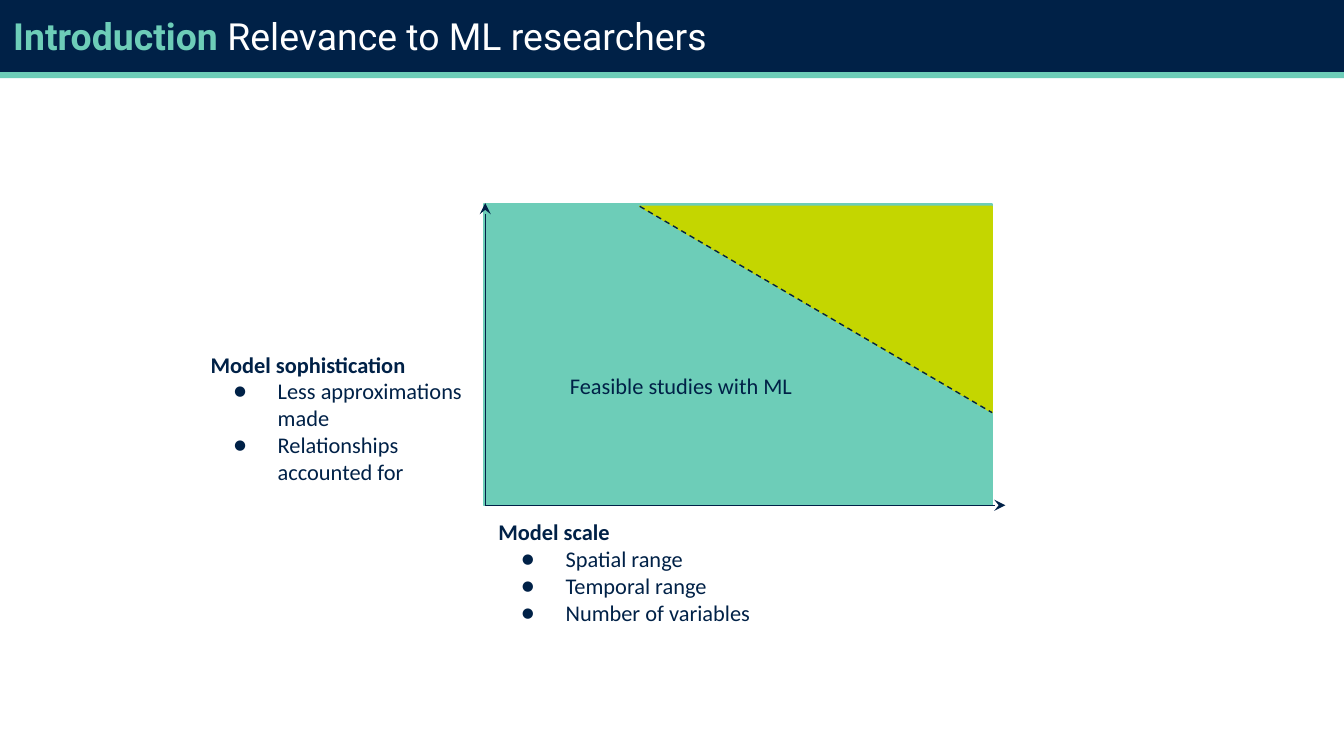
from lxml import etree
from pptx import Presentation
from pptx.dml.color import RGBColor
from pptx.enum.dml import MSO_LINE
from pptx.enum.shapes import MSO_CONNECTOR, MSO_SHAPE
from pptx.enum.text import MSO_ANCHOR, MSO_AUTO_SIZE, PP_ALIGN
from pptx.oxml.ns import qn
from pptx.util import Cm, Pt

HEX = {"navy": "002147", "teal": "6DCDB8", "lime": "C4D600", "white": "FFFFFF"}
COLOURS = {name: RGBColor.from_string(value) for name, value in HEX.items()}


def paint(shape, colour, outlined):
    shape.shadow.inherit = False
    shape.fill.solid()
    shape.fill.fore_color.rgb = COLOURS[colour]
    if outlined:
        shape.line.color.rgb = COLOURS[colour]
        shape.line.width = Pt(0.75)
    else:
        shape.line.fill.background()


def write(frame, lines):
    frame.word_wrap = True
    frame.auto_size = MSO_AUTO_SIZE.SHAPE_TO_FIT_TEXT
    frame.margin_left = frame.margin_right = Cm(0.25)
    frame.margin_top = frame.margin_bottom = Cm(0.25)
    for i, line in enumerate(lines):
        paragraph = frame.add_paragraph() if i else frame.paragraphs[0]
        paragraph.text = line
        if i:
            props = paragraph._p.get_or_add_pPr()
            props.set("marL", str(Cm(1.27)))
            props.set("indent", str(-Cm(0.84)))
            bullet_colour = etree.SubElement(props, qn("a:buClr"))
            etree.SubElement(bullet_colour, qn("a:srgbClr"), val=HEX["navy"])
            etree.SubElement(props, qn("a:buFont"), typeface="Calibri")
            etree.SubElement(props, qn("a:buChar"), char="●")
        paragraph.font.name = "Calibri"
        paragraph.font.size = Pt(12)
        paragraph.font.bold = i == 0 and len(lines) > 1
        paragraph.font.color.rgb = COLOURS["navy"]


deck = Presentation()
deck.slide_width, deck.slide_height = Cm(25.4), Cm(14.29)
slide = deck.slides.add_slide(deck.slide_layouts[5])
shapes = slide.shapes
title = shapes.title

for top, colour in ((0.12, "teal"), (0, "navy")):
    band = shapes.add_shape(MSO_SHAPE.RECTANGLE, 0, Cm(top), deck.slide_width, Cm(1.36))
    paint(band, colour, False)
    title._element.addprevious(band._element)

title.left, title.top, title.width, title.height = 0, 0, Cm(23.67), Cm(1.6)
heading = title.text_frame
heading.word_wrap = True
heading.auto_size = MSO_AUTO_SIZE.NONE
heading.vertical_anchor = MSO_ANCHOR.TOP
heading.margin_left = heading.margin_right = Cm(0.25)
heading.margin_top = heading.margin_bottom = Cm(0.25)
heading_line = heading.paragraphs[0]
heading_line.alignment = PP_ALIGN.LEFT
heading_line.font.name = "Roboto"
heading_line.font.size = Pt(20)
for words, colour, bold in (
    ("Introduction", "teal", True),
    (" Relevance to ML researchers", "white", False),
):
    run = heading_line.add_run()
    run.text = words
    run.font.bold = bold
    run.font.color.rgb = COLOURS[colour]

feasible_area = shapes.add_shape(
    MSO_SHAPE.RECTANGLE, Cm(9.15), Cm(3.86), Cm(9.6), Cm(5.7)
)
paint(feasible_area, "teal", True)

limit_start, limit_end = (Cm(12.09), Cm(3.9)), (Cm(18.75), Cm(7.8))
outline = shapes.build_freeform(*limit_start)
outline.add_line_segments([limit_end, (limit_end[0], limit_start[1])], close=True)
paint(outline.convert_to_shape(), "lime", True)

origin = (Cm(9.17), Cm(9.55))
for start, end, is_axis in (
    ((origin[0], Cm(3.84)), origin, True),
    ((Cm(19), origin[1]), origin, True),
    (limit_start, limit_end, False),
):
    line = shapes.add_connector(MSO_CONNECTOR.STRAIGHT, *start, *end)
    line.line.color.rgb = COLOURS["navy"]
    line.line.width = Pt(0.75)
    if is_axis:
        etree.SubElement(line.line._get_or_add_ln(), qn("a:headEnd"), type="stealth")
    else:
        line.line.dash_style = MSO_LINE.DASH
    etree.SubElement(line._element.spPr, qn("a:effectLst"))

for left, top, width, height, lines in (
    (9.17, 9.55, 5.36, 2.57,
     ["Model scale", "Spatial range", "Temporal range", "Number of variables"]),
    (3.73, 6.38, 5.36, 3.07,
     ["Model sophistication", "Less approximations made", "Relationships accounted for"]),
    (10.52, 6.78, 4.98, 1.02, ["Feasible studies with ML"]),
):
    label = shapes.add_textbox(Cm(left), Cm(top), Cm(width), Cm(height))
    write(label.text_frame, lines)

deck.save("out.pptx")
